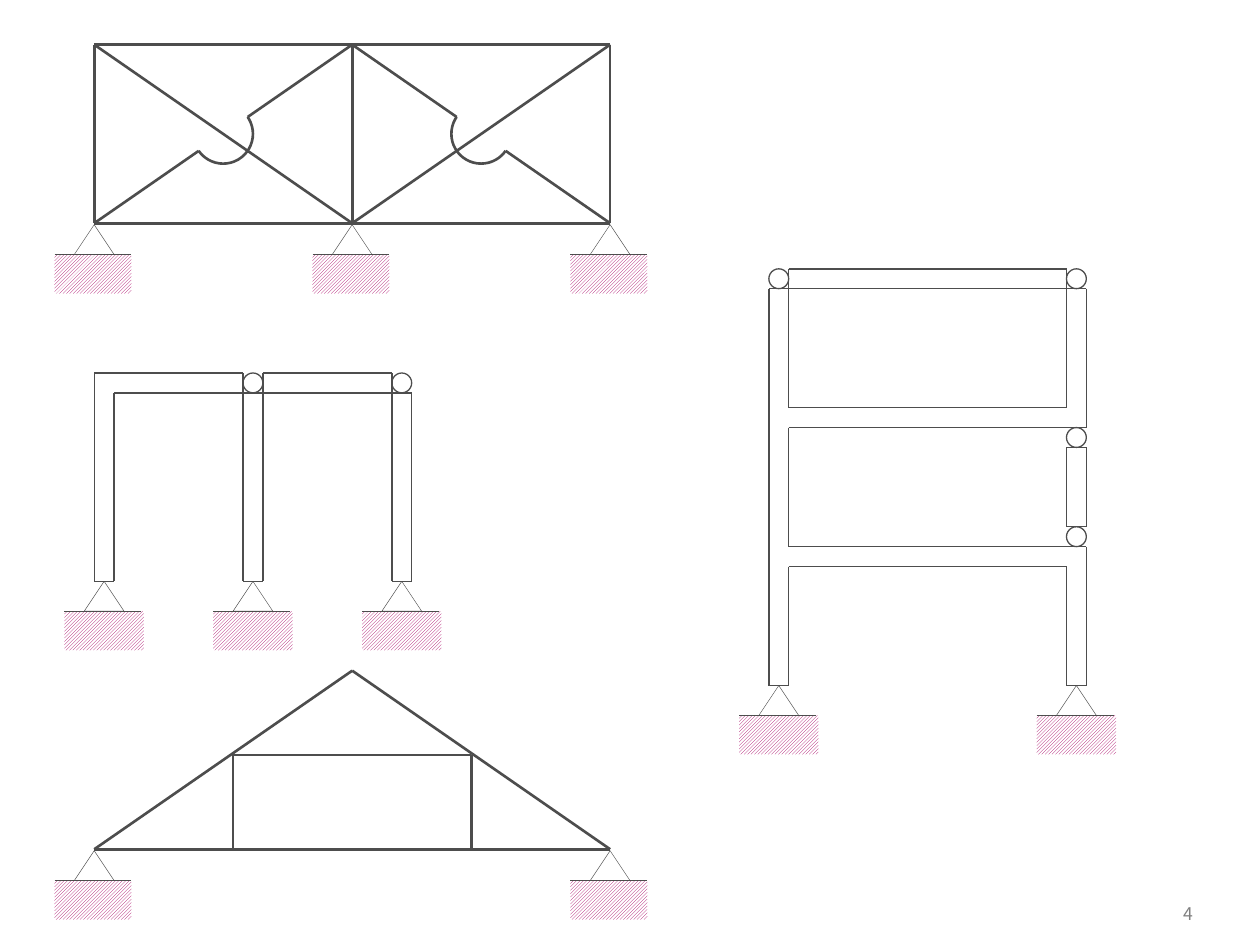
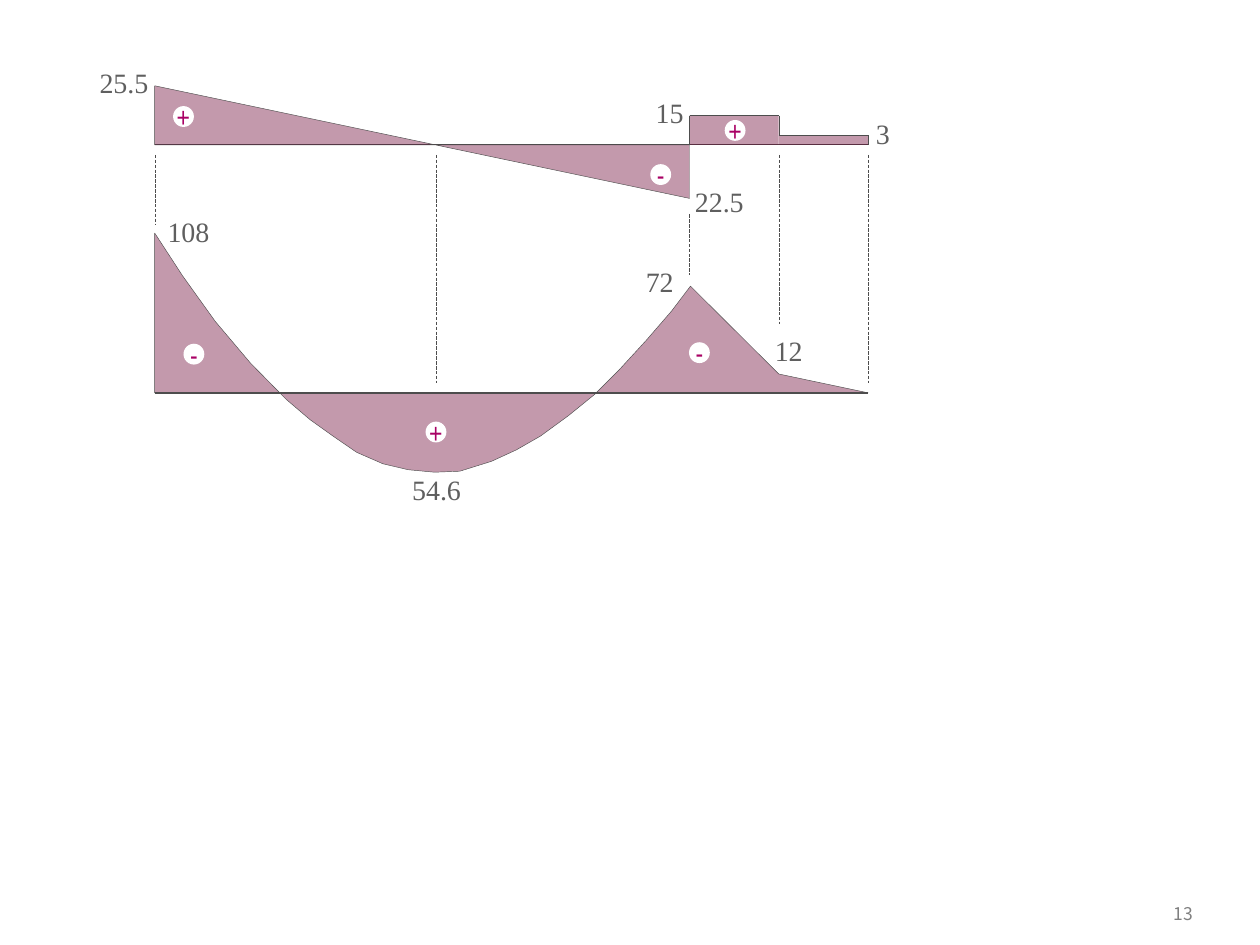
from dataclasses import dataclass
from math import atan2, cos, degrees, sin

from lxml.etree import SubElement
from pptx import Presentation
from pptx.dml.color import RGBColor
from pptx.enum.dml import MSO_LINE, MSO_PATTERN
from pptx.enum.shapes import MSO_CONNECTOR, MSO_SHAPE
from pptx.enum.text import MSO_ANCHOR, PP_ALIGN
from pptx.oxml.ns import qn
from pptx.util import Cm, Pt


@dataclass(frozen=True)
class Theme:
    ink: RGBColor = RGBColor(0x4D, 0x4D, 0x4D)
    accent: RGBColor = RGBColor(0xA9, 0x01, 0x65)
    area: RGBColor = RGBColor(0x6B, 0x01, 0x31)
    white: RGBColor = RGBColor(0xFF, 0xFF, 0xFF)
    value: RGBColor = RGBColor(0x5F, 0x5F, 0x5F)
    number: RGBColor = RGBColor(0x80, 0x80, 0x80)
    area_opacity: int = 40
    value_font: str = "Times New Roman"
    sign_font: str = "Arial Narrow"
    number_font: str = "Noto Sans CJK KR"
    text_size: float = 16
    number_size: float = 10
    hairline: float = 0.25
    outline: float = 0.75
    member: float = 1.5


THEME = Theme()

# All coordinates are centimetres; segments are (x1, y1, x2, y2).
BEAM_DEPTH = 0.4
HINGE = 0.4

# Braced truss with two crossing panels
TRUSS_TOP, TRUSS_BOTTOM = 0.9, 4.5
TRUSS_COLUMNS = (1.9, 7.1, 12.3)
ARC_RADIUS = 0.6

# Gable truss
GABLE_MEMBERS = [
    (1.9, 17.12, 12.3, 17.12),
    (1.9, 17.12, 7.1, 13.52),
    (7.1, 13.52, 12.3, 17.12),
    (4.7, 15.22, 9.5, 15.22),
    (4.7, 15.22, 4.7, 17.12),
    (9.5, 15.22, 9.5, 17.12),
]

# Portal frame
PORTAL_LEGS = (1.9, 4.9, 7.9)
PORTAL_TOP, PORTAL_SOFFIT, PORTAL_FOOT = 7.52, 7.92, 11.72
PORTAL_OUTLINE = [
    (1.9, PORTAL_TOP, 4.9, PORTAL_TOP),
    (5.3, PORTAL_TOP, 7.9, PORTAL_TOP),
    (2.3, PORTAL_SOFFIT, 8.3, PORTAL_SOFFIT),
    (1.9, PORTAL_TOP, 1.9, PORTAL_FOOT),
    (2.3, PORTAL_SOFFIT, 2.3, PORTAL_FOOT),
    (4.9, PORTAL_TOP, 4.9, PORTAL_FOOT),
    (5.3, PORTAL_TOP, 5.3, PORTAL_FOOT),
    (7.9, PORTAL_TOP, 7.9, PORTAL_FOOT),
    (8.3, PORTAL_SOFFIT, 8.3, PORTAL_FOOT),
]
PORTAL_HINGES = [(4.9, PORTAL_TOP), (7.9, PORTAL_TOP)]

# Storey frame
STOREY_LEGS = (15.5, 21.5)
STOREY_FOOT = 13.82
STOREY_OUTLINE = [
    (15.9, 5.42, 21.5, 5.42),
    (15.5, 5.82, 21.9, 5.82),
    (15.9, 8.22, 21.5, 8.22),
    (15.9, 8.62, 21.9, 8.62),
    (21.5, 9.02, 21.9, 9.02),
    (21.5, 10.62, 21.9, 10.62),
    (15.9, 11.02, 21.9, 11.02),
    (15.9, 11.42, 21.5, 11.42),
    (15.5, 5.82, 15.5, STOREY_FOOT),
    (15.9, 5.42, 15.9, 8.22),
    (15.9, 8.62, 15.9, 11.02),
    (15.9, 11.42, 15.9, STOREY_FOOT),
    (21.5, 5.42, 21.5, 8.22),
    (21.5, 9.02, 21.5, 10.62),
    (21.5, 11.42, 21.5, STOREY_FOOT),
    (21.9, 5.82, 21.9, 8.62),
    (21.9, 9.02, 21.9, 10.62),
    (21.9, 11.02, 21.9, STOREY_FOOT),
]
STOREY_HINGES = [(15.5, 5.42), (21.5, 5.42), (21.5, 8.62), (21.5, 10.62)]

# Shear and moment diagrams
BEAM_START, SPAN_END, STEP, BEAM_END = 3.12, 13.9, 15.7, 17.5
SHEAR_AXIS, MOMENT_AXIS = 2.92, 7.92
SHEAR_STEP_TOPS = (2.33, 2.73)
SHEAR_SLOPE = [
    (BEAM_START, SHEAR_AXIS), (BEAM_START, 1.73),
    (SPAN_END, 4.0), (SPAN_END, SHEAR_AXIS),
]
MOMENT_CURVE = [
    (BEAM_START, MOMENT_AXIS), (BEAM_START, 4.7), (3.68, 5.56), (4.34, 6.48),
    (5.05, 7.32), (5.77, 8.05), (6.25, 8.46), (6.71, 8.79), (7.19, 9.12),
    (7.72, 9.35), (8.23, 9.47), (8.76, 9.52), (9.27, 9.5), (9.91, 9.3),
    (10.41, 9.07), (10.9, 8.79), (11.46, 8.38), (11.99, 7.95), (12.47, 7.47),
    (13.03, 6.86), (13.54, 6.27), (13.92, 5.77), (STEP, 7.54),
    (BEAM_END, MOMENT_AXIS),
]
GUIDES = [  # x, top, bottom
    (BEAM_START, 3.12, 4.52), (8.79, 3.12, 7.72), (SPAN_END, 4.32, 5.54),
    (STEP, 3.12, 6.53), (BEAM_END, 3.12, 7.72),
]
VALUES = [  # text, left, top, width
    ("25.5", 1.9, 1.32, 1.2), ("22.5", 13.9, 3.73, 1.2),
    ("15", 13.1, 1.93, 0.8), ("3", 17.5, 2.34, 0.6),
    ("54.6", 8.2, 9.52, 1.2), ("72", 12.9, 5.33, 0.8),
    ("12", 15.5, 6.73, 0.8), ("108", 3.3, 4.32, 1.0),
]
SIGNS = [  # text, centre x, centre y
    ("+", 3.7, 2.35), ("-", 13.32, 3.52), ("+", 14.82, 2.63),
    ("+", 8.79, 8.71), ("-", 3.91, 7.14), ("-", 14.1, 7.11),
]
SIGN_DIAMETER = 0.42


def add_line(slide, segment, weight, dash=None):
    connector = slide.shapes.add_connector(
        MSO_CONNECTOR.STRAIGHT, *(Cm(value) for value in segment))
    connector.line.color.rgb = THEME.ink
    connector.line.width = Pt(weight)
    if dash:
        connector.line.dash_style = dash
    SubElement(connector._element.spPr, qn("a:effectLst"))


def style_shape(shape, weight=None, fill=None, opacity=None):
    shape.shadow.inherit = False
    if weight:
        shape.line.color.rgb = THEME.ink
        shape.line.width = Pt(weight)
    else:
        shape.line.fill.background()
    if fill is None:
        shape.fill.background()
        return
    shape.fill.solid()
    shape.fill.fore_color.rgb = fill
    if opacity:
        color = shape._element.spPr.find(qn("a:solidFill"))[0]
        SubElement(color, qn("a:alpha"), val=str(opacity * 1000))


def add_preset(slide, kind, left, top, width, height, **style):
    shape = slide.shapes.add_shape(kind, Cm(left), Cm(top), Cm(width), Cm(height))
    style_shape(shape, **style)
    return shape


def add_area(slide, points):
    corners = [(Cm(x), Cm(y)) for x, y in points]
    builder = slide.shapes.build_freeform(*corners[0])
    builder.add_line_segments(corners[1:], close=True)
    style_shape(builder.convert_to_shape(), THEME.hairline, THEME.area,
                THEME.area_opacity)


def write_text(shape, text, font, size, color, align, anchor, margins=True):
    frame = shape.text_frame
    frame.word_wrap = False
    frame.vertical_anchor = anchor
    if not margins:
        frame.margin_left = frame.margin_right = 0
        frame.margin_top = frame.margin_bottom = 0
    paragraph = frame.paragraphs[0]
    paragraph.alignment = align
    run = paragraph.add_run()
    run.text = text
    run.font.name = font
    run.font.size = Pt(size)
    run.font.color.rgb = color


def add_box(slide, left, top, width, height):
    return slide.shapes.add_textbox(Cm(left), Cm(top), Cm(width), Cm(height))


def add_slide(presentation, number):
    slide = presentation.slides.add_slide(presentation.slide_layouts[6])
    write_text(add_box(slide, 22.5, 18.0, 1.8, 0.84), number,
               THEME.number_font, THEME.number_size, THEME.number,
               PP_ALIGN.RIGHT, MSO_ANCHOR.MIDDLE)
    return slide


def add_support(slide, x, y, ground_width=1.55):
    """Pinned support with its tip at (x, y), resting on hatched ground."""
    left, ground = x - 0.8, y + 0.6
    hatch = add_preset(slide, MSO_SHAPE.RECTANGLE, left, ground, ground_width, 0.79)
    hatch.fill.patterned()
    hatch.fill.pattern = MSO_PATTERN.LIGHT_UPWARD_DIAGONAL
    hatch.fill.fore_color.rgb = THEME.accent
    hatch.fill.back_color.rgb = THEME.white
    add_line(slide, (left, ground, left + 1.55, ground), THEME.hairline)
    add_preset(slide, MSO_SHAPE.ISOSCELES_TRIANGLE, x - 0.4, y, 0.8, 0.6,
               weight=THEME.hairline)


def add_crossing(slide, outer, inner):
    """Panel diagonals: one runs through, the other passes round it by an arc."""
    add_line(slide, (outer, TRUSS_TOP, inner, TRUSS_BOTTOM), THEME.member)
    center_x, center_y = (outer + inner) / 2, (TRUSS_TOP + TRUSS_BOTTOM) / 2
    angle = atan2(TRUSS_BOTTOM - TRUSS_TOP, abs(inner - outer))
    side = 1 if inner > outer else -1
    run, rise = side * ARC_RADIUS * cos(angle), ARC_RADIUS * sin(angle)
    add_line(slide, (outer, TRUSS_BOTTOM, center_x - run, center_y + rise), THEME.member)
    add_line(slide, (center_x + run, center_y - rise, inner, TRUSS_TOP), THEME.member)
    arc = add_preset(slide, MSO_SHAPE.ARC, center_x - ARC_RADIUS,
                     center_y - ARC_RADIUS, 2 * ARC_RADIUS, 2 * ARC_RADIUS,
                     weight=THEME.member)
    start = (-side * degrees(angle)) % 360
    for index, turn in enumerate((start, (start + 180) % 360)):
        arc.adjustments[index] = turn * 0.6  # 60000 units a degree, scaled by 100000


def add_frame(slide, outline, hinges, legs, foot):
    for segment in outline:
        add_line(slide, segment, THEME.outline)
    for left, top in hinges:
        add_preset(slide, MSO_SHAPE.OVAL, left, top, HINGE, HINGE, weight=THEME.outline)
    for left in legs:
        add_line(slide, (left, foot, left + BEAM_DEPTH, foot), THEME.outline)
        add_support(slide, left + BEAM_DEPTH / 2, foot, ground_width=1.6)


def build_structures(presentation):
    slide = add_slide(presentation, "4")
    left, middle, right = TRUSS_COLUMNS
    for y in (TRUSS_TOP, TRUSS_BOTTOM):
        add_line(slide, (left, y, right, y), THEME.member)
    for x in TRUSS_COLUMNS:
        add_line(slide, (x, TRUSS_TOP, x, TRUSS_BOTTOM), THEME.member)
        add_support(slide, x, TRUSS_BOTTOM + 0.03)
    for outer in (left, right):
        add_crossing(slide, outer, middle)
    for segment in GABLE_MEMBERS:
        add_line(slide, segment, THEME.member)
    for x in (left, right):
        add_support(slide, x, 17.15)
    add_frame(slide, PORTAL_OUTLINE, PORTAL_HINGES, PORTAL_LEGS, PORTAL_FOOT)
    add_frame(slide, STOREY_OUTLINE, STOREY_HINGES, STOREY_LEGS, STOREY_FOOT)


def build_diagrams(presentation):
    slide = add_slide(presentation, "13")
    add_area(slide, MOMENT_CURVE)
    for axis in (MOMENT_AXIS, SHEAR_AXIS):
        add_line(slide, (BEAM_START, axis, BEAM_END, axis), THEME.outline)
    add_area(slide, SHEAR_SLOPE)
    high, low = SHEAR_STEP_TOPS
    for left, right, top in ((SPAN_END, STEP, high), (STEP, BEAM_END, low)):
        add_preset(slide, MSO_SHAPE.RECTANGLE, left, top, right - left,
                   SHEAR_AXIS - top, fill=THEME.area, opacity=THEME.area_opacity)
        add_line(slide, (left, top, right, top), THEME.hairline)
    for x, top, bottom in ((SPAN_END, high, SHEAR_AXIS), (STEP, high, low),
                           (BEAM_END, low, SHEAR_AXIS)):
        add_line(slide, (x, top, x, bottom), THEME.hairline)
    for x, top, bottom in GUIDES:
        add_line(slide, (x, top, x, bottom), THEME.hairline, MSO_LINE.LONG_DASH)
    for text, x, y in SIGNS:
        disc = add_preset(slide, MSO_SHAPE.OVAL, x - SIGN_DIAMETER / 2,
                          y - SIGN_DIAMETER / 2, SIGN_DIAMETER, SIGN_DIAMETER,
                          fill=THEME.white)
        write_text(disc, text, THEME.sign_font, THEME.text_size, THEME.accent,
                   PP_ALIGN.CENTER, MSO_ANCHOR.MIDDLE)
    for text, left, top, width in VALUES:
        write_text(add_box(slide, left, top, width, 0.6), text, THEME.value_font,
                   THEME.text_size, THEME.value, PP_ALIGN.CENTER, MSO_ANCHOR.TOP,
                   margins=False)


def main():
    presentation = Presentation()
    presentation.slide_width, presentation.slide_height = Cm(25.4), Cm(19.05)
    build_structures(presentation)
    build_diagrams(presentation)
    presentation.save("out.pptx")


if __name__ == "__main__":
    main()
